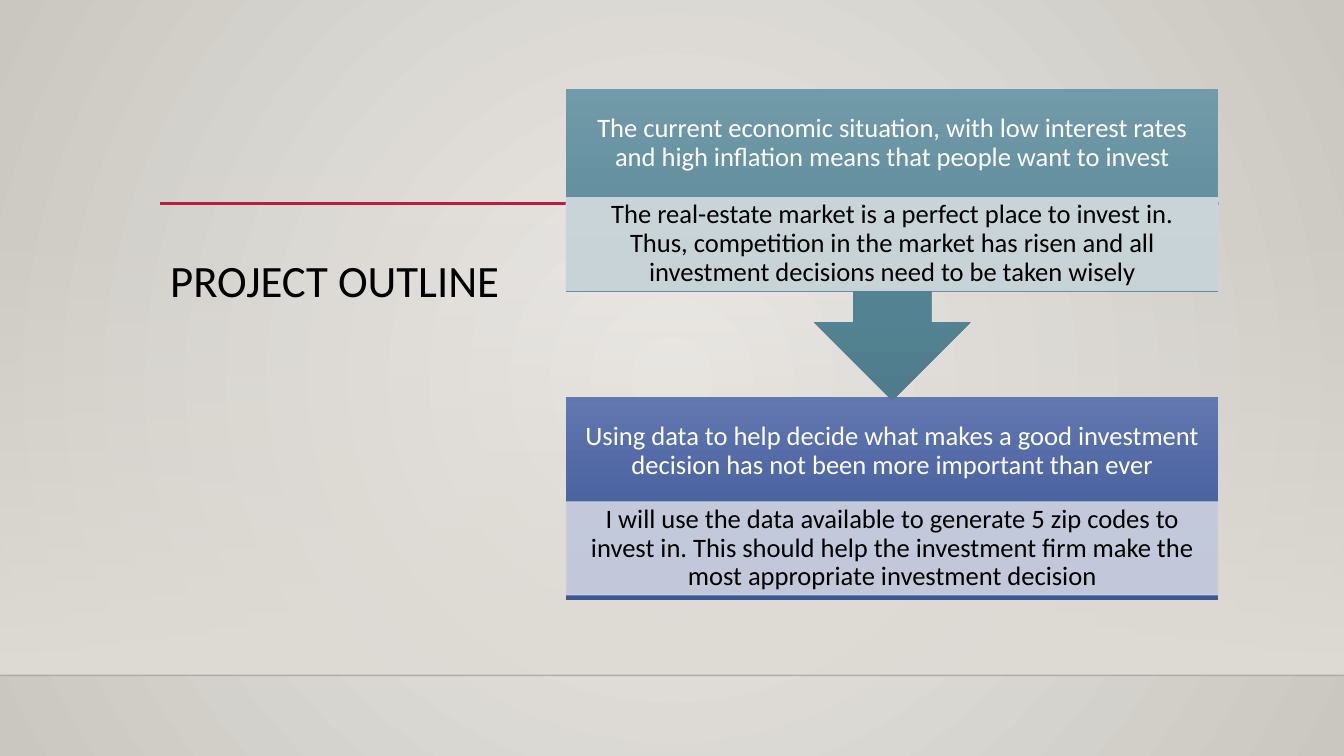
from dataclasses import dataclass

from lxml.etree import SubElement
from pptx import Presentation
from pptx.dml.color import RGBColor
from pptx.enum.shapes import MSO_CONNECTOR, MSO_SHAPE
from pptx.enum.text import MSO_ANCHOR, PP_ALIGN
from pptx.oxml.ns import qn
from pptx.util import Cm, Pt

BLACK = RGBColor(0x00, 0x00, 0x00)
WHITE = RGBColor(0xFF, 0xFF, 0xFF)
RED = RGBColor(0xB7, 0x1E, 0x42)
FLOOR_LINE = RGBColor(0x00, 0x00, 0x01)
WALL_LIGHT = RGBColor(0xEC, 0xEA, 0xE7)
WALL_DARK = RGBColor(0xCA, 0xC7, 0xC1)
BAND = RGBColor(0xDF, 0xDB, 0xD5)
PALE_BLUE = RGBColor(0xD1, 0xD5, 0xE1)
PALE_TEAL = RGBColor(0xD4, 0xDC, 0xDF)
BLUES = (RGBColor(0x63, 0x78, 0xB0), RGBColor(0x42, 0x5B, 0x9B), RGBColor(0x3F, 0x57, 0x93))
TEALS = (RGBColor(0x72, 0x9B, 0xA9), RGBColor(0x53, 0x83, 0x93), RGBColor(0x4F, 0x7C, 0x8B))

FONT = "Calibri"
SLIDE_WIDTH, SLIDE_HEIGHT = 33.87, 19.05
STEP_LEFT, STEP_WIDTH = 14.27, 16.43
HEADING_HEIGHT, DETAIL_HEIGHT = 2.74, 2.34


@dataclass(frozen=True)
class Step:
    outline: MSO_SHAPE
    top: float
    height: float
    detail_top: float
    gradient: tuple
    detail_fill: RGBColor
    heading: str
    detail: str


# Back to front: the arrow of the first step lies over the second step
STEPS = (
    Step(MSO_SHAPE.RECTANGLE, 10.01, 5.11, 12.65, BLUES, PALE_BLUE,
         "Using data to help decide what makes a good investment decision "
         "has not been more important than ever",
         "I will use the data available to generate 5 zip codes to invest in. "
         "This should help the investment firm make the most appropriate investment decision"),
    Step(MSO_SHAPE.DOWN_ARROW_CALLOUT, 2.24, 7.85, 4.98, TEALS, PALE_TEAL,
         "The current economic situation, with low interest rates "
         "and high inflation means that people want to invest",
         "The real-estate market is a perfect place to invest in. Thus, competition "
         "in the market has risen and all investment decisions need to be taken wisely"),
)


def set_alpha(color_element, percent: int) -> None:
    SubElement(color_element, qn("a:alpha"), val=str(percent * 1000))


def set_gradient(fill, element, stops, radial: bool = False) -> None:
    """Fill with (position, color, opacity) stops, downwards or from the centre."""
    fill.gradient()
    gradient = element.find(".//" + qn("a:gradFill"))
    for child in list(gradient):
        gradient.remove(child)
    stop_list = SubElement(gradient, qn("a:gsLst"))
    for position, color, opacity in stops:
        stop = SubElement(stop_list, qn("a:gs"), pos=str(position * 1000))
        set_alpha(SubElement(stop, qn("a:srgbClr"), val=str(color)), opacity)
    if radial:
        circle = SubElement(gradient, qn("a:path"), path="circle")
        SubElement(circle, qn("a:fillToRect"), l="50000", t="50000", r="50000", b="50000")
    else:
        SubElement(gradient, qn("a:lin"), ang="5400000", scaled="0")


def add_shape(slide, kind: MSO_SHAPE, left: float, top: float, width: float, height: float):
    shape = slide.shapes.add_shape(kind, Cm(left), Cm(top), Cm(width), Cm(height))
    shape.shadow.inherit = False
    shape.line.fill.background()
    return shape


def add_rule(slide, left: float, right: float, y: float, color: RGBColor,
             weight: float, opacity: int = 100) -> None:
    rule = slide.shapes.add_connector(MSO_CONNECTOR.STRAIGHT, Cm(left), Cm(y), Cm(right), Cm(y))
    rule.line.color.rgb = color
    rule.line.width = Pt(weight)
    set_alpha(rule.element.find(".//" + qn("a:srgbClr")), opacity)
    SubElement(rule.element.spPr, qn("a:effectLst"))


def add_text(slide, text: str, left: float, top: float, width: float, height: float, *,
             size: float = 19, color: RGBColor = BLACK, align: PP_ALIGN = PP_ALIGN.CENTER,
             anchor: MSO_ANCHOR = MSO_ANCHOR.MIDDLE,
             inset_x: float = 0.38, inset_y: float = 0.07) -> None:
    frame = slide.shapes.add_textbox(Cm(left), Cm(top), Cm(width), Cm(height)).text_frame
    frame.word_wrap = True
    frame.vertical_anchor = anchor
    frame.margin_left = frame.margin_right = Cm(inset_x)
    frame.margin_top = frame.margin_bottom = Cm(inset_y)
    paragraph = frame.paragraphs[0]
    paragraph.alignment = align
    paragraph.line_spacing = 0.9
    run = paragraph.add_run()
    run.text = text
    run.font.name = FONT
    run.font.size = Pt(size)
    run.font.color.rgb = color


def add_step(slide, step: Step) -> None:
    body = add_shape(slide, step.outline, STEP_LEFT, step.top, STEP_WIDTH, step.height)
    set_gradient(body.fill, body.element,
                 [(position, color, 100) for position, color in zip((0, 69, 100), step.gradient)])
    add_text(slide, step.heading, STEP_LEFT, step.top, STEP_WIDTH, HEADING_HEIGHT,
             color=WHITE, inset_y=0.38)

    panel = add_shape(slide, MSO_SHAPE.RECTANGLE, STEP_LEFT, step.detail_top,
                      STEP_WIDTH, DETAIL_HEIGHT)
    panel.fill.solid()
    panel.fill.fore_color.rgb = step.detail_fill
    panel.line.color.rgb = PALE_BLUE
    panel.line.width = Pt(0.75)
    for color_element in panel.element.spPr.iter(qn("a:srgbClr")):
        set_alpha(color_element, 90)
    add_text(slide, step.detail, STEP_LEFT, step.detail_top, STEP_WIDTH, DETAIL_HEIGHT)


def main() -> None:
    presentation = Presentation()
    presentation.slide_width = Cm(SLIDE_WIDTH)
    presentation.slide_height = Cm(SLIDE_HEIGHT)
    slide = presentation.slides.add_slide(presentation.slide_layouts[6])

    # Background wall and floor
    set_gradient(slide.background.fill, slide.element,
                 [(0, WALL_LIGHT, 100), (100, WALL_DARK, 100)], radial=True)
    band = add_shape(slide, MSO_SHAPE.RECTANGLE, 0, 5.61, SLIDE_WIDTH, 11.41)
    set_gradient(band.fill, band.element, [(0, BAND, 0), (100, BAND, 100)])
    add_rule(slide, 0, SLIDE_WIDTH, 17.02, FLOOR_LINE, 1, opacity=20)

    # Title under its red rule
    add_rule(slide, 4.04, 30.73, 5.13, RED, 2.5)
    add_text(slide, "PROJECT OUTLINE", 4.04, 6.4, 9.09, 7.42, size=32, align=PP_ALIGN.LEFT,
             anchor=MSO_ANCHOR.TOP, inset_x=0.25, inset_y=0.13)

    # Process steps
    for step in STEPS:
        add_step(slide, step)

    presentation.save("out.pptx")


if __name__ == "__main__":
    main()
